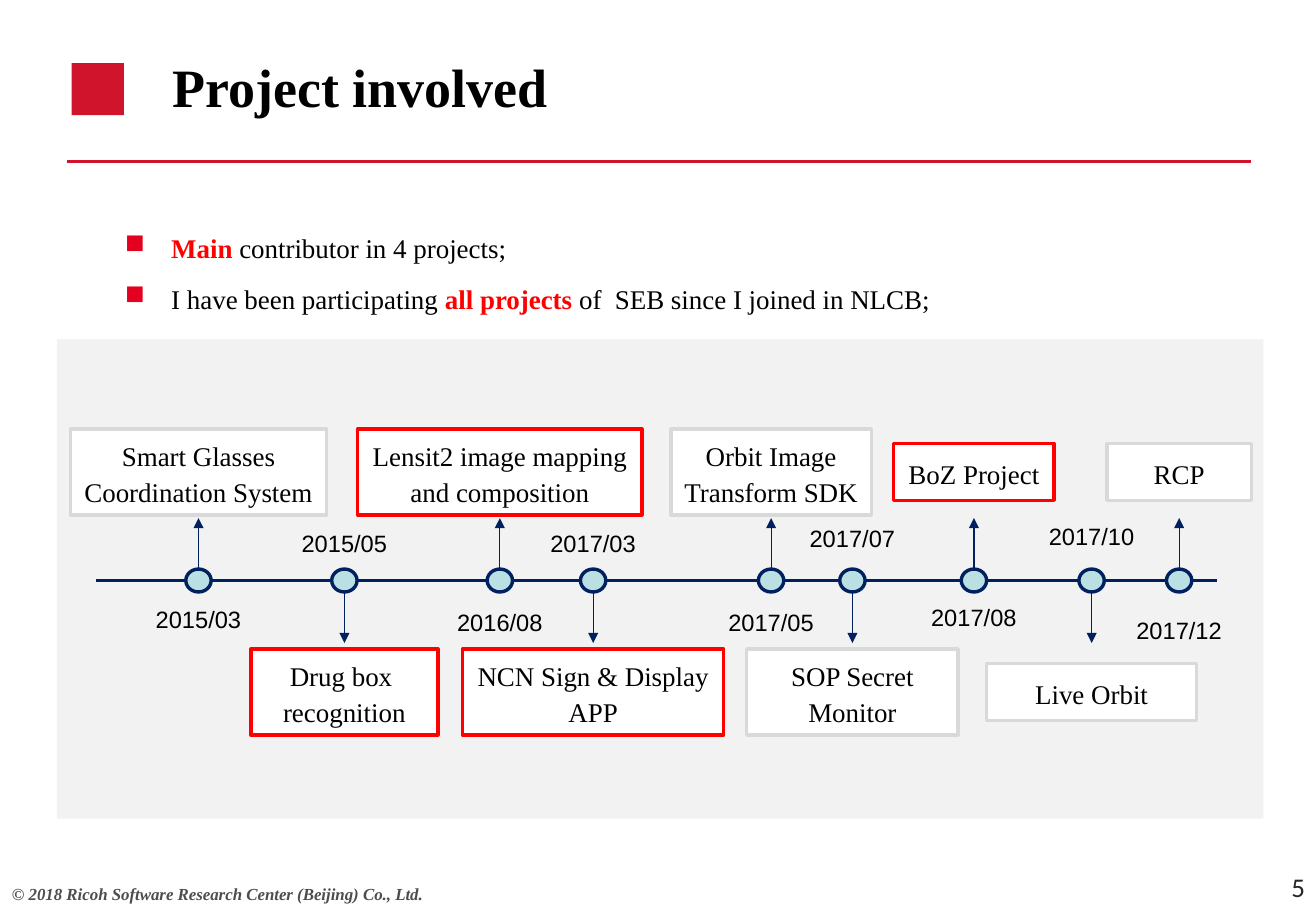
import pptx
import pptx.dml.color
import pptx.enum.shapes
import pptx.enum.text
import pptx.oxml
import pptx.oxml.ns
import pptx.util
from pptx.util import Cm

SERIF = "Times New Roman"
RED, CRIMSON, NAVY, GREY = "FF0000", "CF142B", "002060", "D9D9D9"
SHAPES = pptx.enum.shapes.MSO_SHAPE
ALIGN = pptx.enum.text.PP_ALIGN
ANCHOR = pptx.enum.text.MSO_ANCHOR

AXIS_Y = 12.14
DOT_WIDTH, DOT_HEIGHT = 0.53, 0.48
ARROW_LENGTH = 1.28
DATE_WIDTH, DATE_HEIGHT = 2.31, 0.86
UPPER_CARD_Y, LOWER_CARD_Y = 9.87, 14.47
TALL, SHORT = 1.8, 1.19

EVENTS = [
    ("2015/03", 4.15, 12.95, "Smart Glasses Coordination System", 5.36, TALL, GREY),
    ("2015/05", 7.2, 11.35, "Drug box \nrecognition", 3.91, TALL, RED),
    ("2016/08", 10.45, 13, "Lensit2 image mapping and composition", 5.94, TALL, RED),
    ("2017/03", 12.4, 11.35, "NCN Sign & Display APP", 5.46, TALL, RED),
    ("2017/05", 16.12, 13, "Orbit Image Transform SDK", 4.19, TALL, GREY),
    ("2017/07", 17.82, 11.25, "SOP Secret Monitor", 4.42, TALL, GREY),
    ("2017/08", 20.36, 12.9, "BoZ Project", 3.35, SHORT, RED),
    ("2017/10", 22.82, 11.2, "Live Orbit", 4.39, SHORT, GREY),
    ("2017/12", 24.65, 13.18, "RCP", 3.02, SHORT, GREY),
]

BULLETS = [
    [("Main ", True), ("contributor in 4 projects;", False)],
    [("I have been participating ", False), ("all projects ", True),
     ("of  SEB since I joined in NLCB;", False)],
]


def rgb(color):
    return pptx.dml.color.RGBColor.from_string(color)


def add_span(para, text, size=16, font=SERIF, color="000000", bold=False, italic=False):
    span = para.add_run()
    span.text = text
    span.font.size = pptx.util.Pt(size)
    span.font.name = font
    span.font.color.rgb = rgb(color)
    span.font.bold = bold
    span.font.italic = italic


def write(box, text, align=ALIGN.LEFT, anchor=ANCHOR.MIDDLE, spacing=None, wrap=True, **style):
    frame = box.text_frame
    frame.word_wrap = wrap
    frame.vertical_anchor = anchor
    for index, line in enumerate(text.split("\n")):
        para = frame.add_paragraph() if index else frame.paragraphs[0]
        para.alignment = align
        para.line_spacing = spacing
        add_span(para, line, **style)


def add_text(page, left, top, width, height, text, **style):
    box = page.shapes.add_textbox(Cm(left), Cm(top), Cm(width), Cm(height))
    write(box, text, **style)


def add_box(page, left, top, width, height, fill, line=None, weight=2, kind=SHAPES.RECTANGLE):
    box = page.shapes.add_shape(kind, Cm(left), Cm(top), Cm(width), Cm(height))
    box.shadow.inherit = False
    box.fill.solid()
    box.fill.fore_color.rgb = rgb(fill)
    if line:
        box.line.color.rgb = rgb(line)
        box.line.width = pptx.util.Pt(weight)
    else:
        box.line.fill.background()
    return box


def add_line(page, x1, y1, x2, y2, color, weight, arrow=False):
    line = page.shapes.add_connector(
        pptx.enum.shapes.MSO_CONNECTOR.STRAIGHT, Cm(x1), Cm(y1), Cm(x2), Cm(y2))
    line.line.color.rgb = rgb(color)
    line.line.width = pptx.util.Pt(weight)
    if arrow:
        head = pptx.oxml.xmlchemy.OxmlElement("a:tailEnd")
        head.set("type", "triangle")
        line.line._get_or_add_ln().append(head)
    line._element.spPr.append(pptx.oxml.xmlchemy.OxmlElement("a:effectLst"))


def add_bullet(para):
    props = para._p.get_or_add_pPr()
    props.set("marL", str(Cm(0.97)))
    props.set("indent", str(-Cm(0.97)))
    namespace = pptx.oxml.ns.nsdecls("a")
    for markup in (f'<a:buClr {namespace}><a:srgbClr val="E6001F"/></a:buClr>',
                   f'<a:buChar {namespace} char="■"/>'):
        props.append(pptx.oxml.parse_xml(markup))


def add_bullets(page):
    box = add_box(page, 2.36, 4.32, 20.04, 2.77, "FFFFFF", "FFFFFF", 0.75)
    frame = box.text_frame
    frame.word_wrap = True
    frame.vertical_anchor = ANCHOR.MIDDLE
    for index, pieces in enumerate(BULLETS):
        para = frame.add_paragraph() if index else frame.paragraphs[0]
        para.alignment = ALIGN.LEFT
        if index:
            para.space_before = pptx.util.Pt(11)
        add_bullet(para)
        for text, strong in pieces:
            add_span(para, text, color=RED if strong else "000000", bold=strong)


def add_event(page, upward, date, x, date_y, text, width, height, outline):
    side = -1 if upward else 1
    start = AXIS_Y + side * DOT_HEIGHT / 2
    add_line(page, x, start, x, start + side * ARROW_LENGTH / 1.2, NAVY, 0.75, arrow=True)
    add_box(page, x - DOT_WIDTH / 2, AXIS_Y - DOT_HEIGHT / 2, DOT_WIDTH, DOT_HEIGHT,
            "BBE0E3", NAVY, kind=SHAPES.OVAL)
    card_y = UPPER_CARD_Y if upward else LOWER_CARD_Y
    card = add_box(page, x - width / 2, card_y - height / 2, width, height, "FFFFFF", outline)
    write(card, text, align=ALIGN.CENTER, spacing=1.1)
    add_text(page, x - DATE_WIDTH / 2, date_y - DATE_HEIGHT / 2, DATE_WIDTH, DATE_HEIGHT,
             date, align=ALIGN.CENTER, wrap=False, size=14, font="Arial")


def main():
    deck = pptx.Presentation()
    deck.slide_width, deck.slide_height = Cm(27.51), Cm(19.05)
    page = deck.slides.add_slide(deck.slide_layouts[6])

    add_line(page, 1.4, 3.38, 26.16, 3.38, CRIMSON, 2)
    add_box(page, 1.5, 1.32, 1.09, 1.09, CRIMSON)
    add_bullets(page)
    add_text(page, 3.35, 0.91, 17.07, 1.78, "Project involved", size=32, bold=True)

    add_box(page, 1.19, 7.09, 25.22, 10.03, "F2F2F2")
    add_line(page, 2.01, AXIS_Y, 25.45, AXIS_Y, NAVY, 2.25)
    for index, event in enumerate(EVENTS):
        add_event(page, index % 2 == 0, *event)

    add_text(page, 0, 18.36, 9.4, 0.69,
             "© 2018 Ricoh Software Research Center (Beijing) Co., Ltd.",
             anchor=ANCHOR.TOP, size=10, color="4D4D4D", bold=True, italic=True)
    add_text(page, 24.56, 18.03, 2.97, 1.02, "5", align=ALIGN.RIGHT,
             font="Calibri", color="262626")
    deck.save("out.pptx")


if __name__ == "__main__":
    main()
